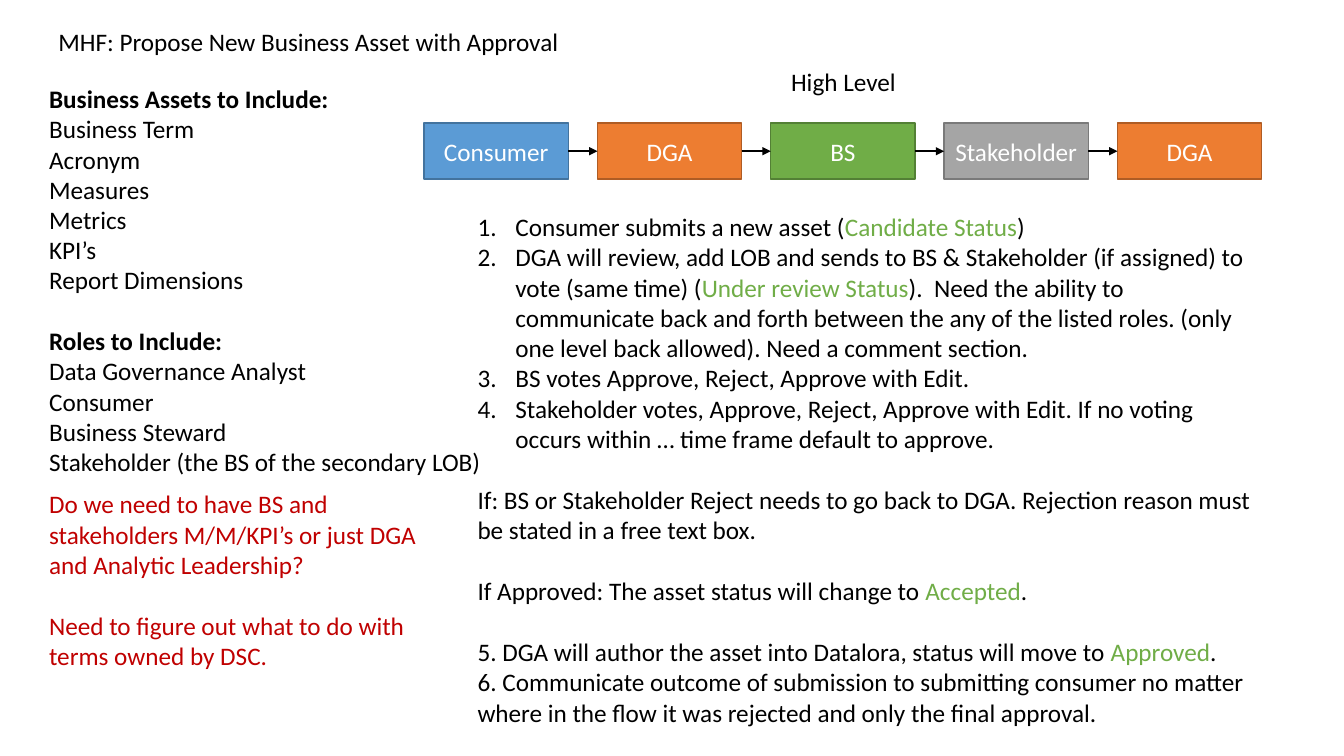
from itertools import pairwise

from lxml.etree import SubElement
from pptx import Presentation
from pptx.dml.color import RGBColor
from pptx.enum.shapes import MSO_CONNECTOR, MSO_SHAPE
from pptx.enum.text import MSO_ANCHOR, PP_ALIGN
from pptx.oxml.ns import qn
from pptx.util import Pt

BLACK = RGBColor(0x00, 0x00, 0x00)
WHITE = RGBColor(0xFF, 0xFF, 0xFF)
RED = RGBColor(0xC0, 0x00, 0x00)
BLUE = RGBColor(0x5B, 0x9B, 0xD5)
BLUE_EDGE = RGBColor(0x43, 0x73, 0x9E)
ORANGE = RGBColor(0xED, 0x7D, 0x31)
ORANGE_EDGE = RGBColor(0xAF, 0x5C, 0x24)
GREEN = RGBColor(0x70, 0xAD, 0x47)
GREEN_EDGE = RGBColor(0x53, 0x80, 0x35)
GRAY = RGBColor(0xA5, 0xA5, 0xA5)
GRAY_EDGE = RGBColor(0x7A, 0x7A, 0x7A)

FONT = "Calibri"
SIZE = Pt(18)
LINE_GAP = Pt(22)
NUMBER_INDENT = Pt(27)

LEFT_MARGIN = 28
FLOW_LEFT, FLOW_TOP, FLOW_PITCH = 303, 88, 123.8
ROLE_WIDTH, ROLE_HEIGHT = 103, 40

TITLE = "MHF: Propose New Business Asset with Approval"
ASSETS = ["Business Assets to Include:", "Business Term", "Acronym", "Measures",
          "Metrics", "KPI’s", "Report Dimensions"]
ROLES = ["Roles to Include:", "Data Governance Analyst", "Consumer",
         "Business Steward", "Stakeholder (the BS of the secondary LOB)"]
QUESTIONS = [
    "Do we need to have BS and stakeholders M/M/KPI’s or just DGA and Analytic Leadership?",
    "Need to figure out what to do with terms owned by DSC.",
]
FLOW = [
    ("Consumer", BLUE, BLUE_EDGE),
    ("DGA", ORANGE, ORANGE_EDGE),
    ("BS", GREEN, GREEN_EDGE),
    ("Stakeholder", GRAY, GRAY_EDGE),
    ("DGA", ORANGE, ORANGE_EDGE),
]
STEPS = [
    "Consumer submits a new asset (|Candidate Status|)",
    "DGA will review, add LOB and sends to BS & Stakeholder (if assigned) to vote "
    "(same time) (|Under review Status|).  Need the ability to communicate back and "
    "forth between the any of the listed roles. (only one level back allowed). "
    "Need a comment section.",
    "BS votes Approve, Reject, Approve with Edit.",
    "Stakeholder votes, Approve, Reject, Approve with Edit. If no voting occurs "
    "within … time frame default to approve.",
    "If: BS or Stakeholder Reject needs to go back to DGA. Rejection reason must be "
    "stated in a free text box.",
    "If Approved: The asset status will change to |Accepted|.",
    "5. DGA will author the asset into Datalora, status will move to |Approved|.",
    "6. Communicate outcome of submission to submitting consumer no matter where in "
    "the flow it was rejected and only the final approval.",
]


def write_text(frame, lines, color=BLACK, align=PP_ALIGN.LEFT, anchor=MSO_ANCHOR.TOP,
               heading=False, gaps_before=(), numbered=0):
    frame.word_wrap = True
    frame.vertical_anchor = anchor
    for index, line in enumerate(lines):
        paragraph = frame.add_paragraph() if index else frame.paragraphs[0]
        paragraph.alignment = align
        if index in gaps_before:
            paragraph.space_before = LINE_GAP
        for position, words in enumerate(line.split("|")):
            run = paragraph.add_run()
            run.text = words
            run.font.name = FONT
            run.font.size = SIZE
            run.font.bold = heading and index == 0
            run.font.color.rgb = GREEN if position % 2 else color
        if index < numbered:
            number_paragraph(paragraph)


def number_paragraph(paragraph):
    properties = paragraph._p.get_or_add_pPr()
    properties.set("marL", str(NUMBER_INDENT))
    properties.set("indent", str(-NUMBER_INDENT))
    SubElement(properties, qn("a:buFont"), typeface="+mj-lt")
    SubElement(properties, qn("a:buAutoNum"), type="arabicPeriod")


def add_text(slide, left, top, width, height, lines, **text_format):
    box = slide.shapes.add_textbox(Pt(left), Pt(top), Pt(width), Pt(height))
    write_text(box.text_frame, lines, **text_format)


def place_title(slide):
    title = slide.shapes.title
    title.left, title.top, title.width, title.height = Pt(34.5), Pt(15), Pt(432), Pt(29)
    write_text(title.text_frame, [TITLE])


def add_role(slide, left, name, fill, edge):
    role = slide.shapes.add_shape(MSO_SHAPE.RECTANGLE, Pt(left), Pt(FLOW_TOP),
                                  Pt(ROLE_WIDTH), Pt(ROLE_HEIGHT))
    role.shadow.inherit = False
    role.fill.solid()
    role.fill.fore_color.rgb = fill
    role.line.color.rgb = edge
    role.line.width = Pt(1)
    write_text(role.text_frame, [name], color=WHITE, align=PP_ALIGN.CENTER,
               anchor=MSO_ANCHOR.MIDDLE)
    return role


def add_arrow(slide, source, target):
    arrow = slide.shapes.add_connector(MSO_CONNECTOR.STRAIGHT, 0, 0, 0, 0)
    arrow.begin_connect(source, 3)
    arrow.end_connect(target, 1)
    arrow.line.color.rgb = BLACK
    arrow.line.width = Pt(1.5)
    SubElement(arrow.line._get_or_add_ln(), qn("a:tailEnd"), type="triangle")
    SubElement(arrow._element.spPr, qn("a:effectLst"))


def add_flow(slide):
    roles = [add_role(slide, FLOW_LEFT + FLOW_PITCH * step, *role)
             for step, role in enumerate(FLOW)]
    for source, target in pairwise(roles):
        add_arrow(slide, source, target)


def main():
    presentation = Presentation()
    presentation.slide_width, presentation.slide_height = Pt(960), Pt(540)
    slide = presentation.slides.add_slide(presentation.slide_layouts[5])
    place_title(slide)
    add_text(slide, LEFT_MARGIN, 56, 364, 160, ASSETS, heading=True)
    add_text(slide, LEFT_MARGIN, 229, 364, 117, ROLES, heading=True)
    add_flow(slide)
    add_text(slide, 512.5, 44, 180, 29, ["High Level"], align=PP_ALIGN.CENTER)
    add_text(slide, 334, 147.5, 567, 378, STEPS, numbered=4, gaps_before=(4, 5, 6))
    add_text(slide, LEFT_MARGIN, 345.5, 280, 138, QUESTIONS, color=RED, gaps_before=(1,))
    presentation.save("out.pptx")


main()
